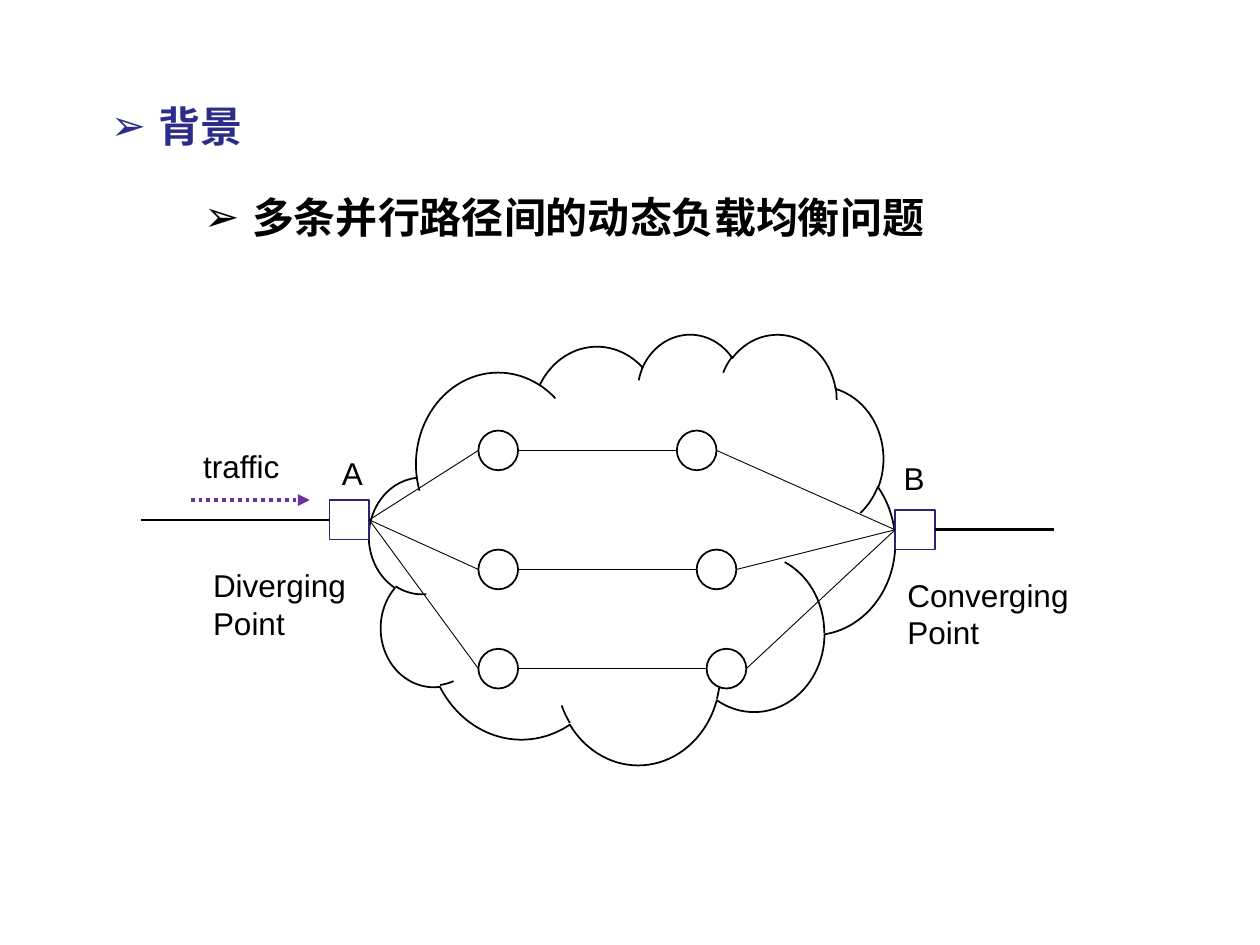
from lxml import etree
from pptx import Presentation
from pptx.dml.color import RGBColor
from pptx.enum.dml import MSO_LINE
from pptx.enum.shapes import MSO_CONNECTOR, MSO_SHAPE
from pptx.enum.text import MSO_ANCHOR, MSO_AUTO_SIZE, PP_ALIGN
from pptx.oxml.ns import qn
from pptx.util import Inches, Mm, Pt

BLACK = RGBColor(0x00, 0x00, 0x00)
WHITE = RGBColor(0xFF, 0xFF, 0xFF)
INDIGO = RGBColor(0x2D, 0x2D, 0x89)
NAVY = RGBColor(0x26, 0x26, 0x71)
PURPLE = RGBColor(0x70, 0x30, 0xA0)
FONT = "Arial"
CELL = Mm(2)  # diagram grid unit
NODE = 4      # side of a node, in cells


def set_font(p, size, color, bold=False):
    p.font.name, p.font.size, p.font.bold = FONT, Pt(size), bold
    p.font.color.rgb = color


def heading(sp, box, text, color):
    """Bulleted heading in a placeholder moved to box."""
    sp.left, sp.top, sp.width, sp.height = (Inches(v) for v in box)
    tf = sp.text_frame
    tf.text = text
    tf.word_wrap = True
    tf.auto_size = MSO_AUTO_SIZE.NONE
    tf.vertical_anchor = MSO_ANCHOR.TOP
    p = tf.paragraphs[0]
    p.alignment = PP_ALIGN.LEFT
    p.space_before = Pt(0)
    set_font(p, 24, color, bold=True)
    pPr = p._p.get_or_add_pPr()
    indent = Inches(0.38)
    pPr.set("marL", str(indent))
    pPr.set("indent", str(-indent))
    bullet_font = etree.Element(qn("a:buFont"), typeface=FONT)
    bullet = etree.Element(qn("a:buChar"), char="➢")
    following = pPr.find(qn("a:defRPr"))
    for el in (bullet_font, bullet):
        following.addprevious(el)


def diagram(slide, left, top):
    """Parallel paths from A to B, on a grid that starts at left, top."""
    shapes = slide.shapes

    def grid(col, row):
        return Inches(left) + int(col * CELL), Inches(top) + int(row * CELL)

    def shape(kind, col, row, w=NODE, h=NODE, line=BLACK):
        s = shapes.add_shape(kind, *grid(col, row), int(w * CELL), int(h * CELL))
        s.shadow.inherit = False
        s.fill.solid()
        s.fill.fore_color.rgb = WHITE
        s.line.color.rgb = line
        s.line.width = Pt(1)

    def connector(start, end, width=0.5, color=BLACK):
        c = shapes.add_connector(MSO_CONNECTOR.STRAIGHT, *grid(*start), *grid(*end))
        c.line.color.rgb = color
        c.line.width = Pt(width)
        etree.SubElement(c._element.spPr, qn("a:effectLst"))
        return c

    def label(text, col, row, w, h=5.1):
        tf = shapes.add_textbox(*grid(col, row), int(w * CELL), int(h * CELL)).text_frame
        tf.word_wrap = True
        tf.text = text
        set_font(tf.paragraphs[0], 18, BLACK)

    # Cloud and end points
    shape(MSO_SHAPE.CLOUD, 23, 0.2, 53, 43.4)
    shape(MSO_SHAPE.RECTANGLE, 19, 17, line=NAVY)
    shape(MSO_SHAPE.RECTANGLE, 76, 18, line=NAVY)

    # Paths: row, column of the second node
    first = 34
    for row, second in ((10, 54), (22, 56), (32, 57)):
        mid = row + NODE / 2
        for col in (first, second):
            shape(MSO_SHAPE.OVAL, col, row)
        connector((23, 19), (first, mid))
        connector((first + NODE, mid), (second, mid))
        connector((second + NODE, mid), (76, 20))

    # Outer lines and traffic arrow
    connector((19, 19), (0, 19), 1.5)
    connector((80, 20), (92, 20), 1.5)
    traffic = connector((5, 17), (17, 17), 2.25, PURPLE)
    traffic.line.dash_style = MSO_LINE.ROUND_DOT
    ln = traffic._element.spPr.find(qn("a:ln"))
    etree.SubElement(ln, qn("a:tailEnd"), type="triangle")

    # Labels
    label("traffic", 5, 11, 13)
    label("Diverging Point", 6, 23, 18.3, 8.9)
    label("Converging Point", 76, 24, 23.5, 8.9)
    label("A", 19, 11.7, 3.4)
    label("B", 75.6, 12.2, 3.4)


prs = Presentation()
prs.slide_width, prs.slide_height = Inches(10), Inches(7.5)
slide = prs.slides.add_slide(prs.slide_layouts[1])
heading(slide.shapes.title, (0.78, 0.75, 2.5, 0.47), "背景", INDIGO)
heading(slide.placeholders[1], (1.52, 1.47, 6.95, 0.47),
        "多条并行路径间的动态负载均衡问题", BLACK)
diagram(slide, 1.12, 2.63)
prs.save("out.pptx")
